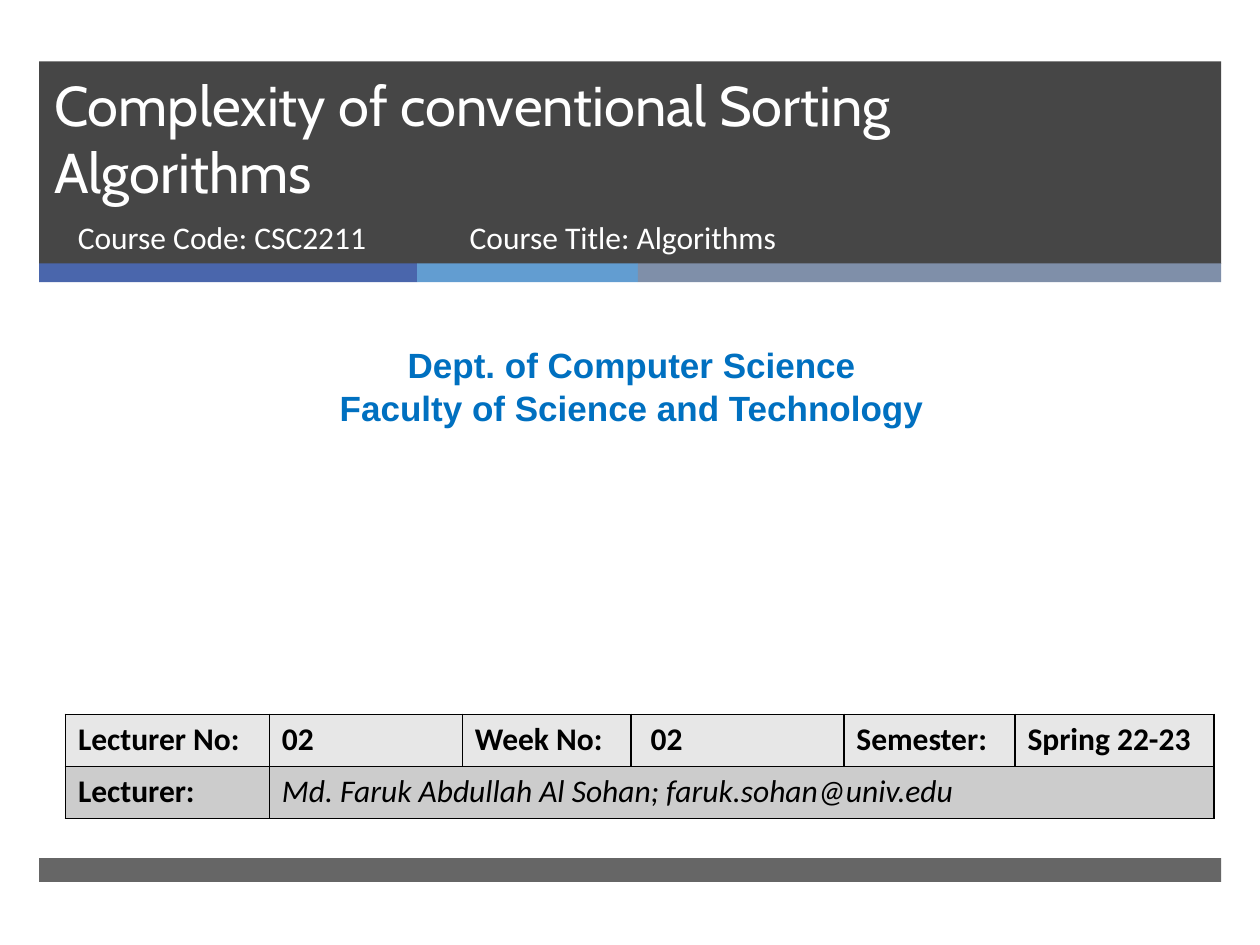
from lxml import etree
from pptx import Presentation
from pptx.dml.color import RGBColor
from pptx.enum.shapes import MSO_SHAPE
from pptx.enum.text import MSO_ANCHOR, MSO_AUTO_SIZE, PP_ALIGN
from pptx.oxml.ns import qn
from pptx.util import Cm, Pt

RECT = MSO_SHAPE.RECTANGLE
LEFT, MID = PP_ALIGN.LEFT, PP_ALIGN.CENTER
TOP, BASE = MSO_ANCHOR.TOP, MSO_ANCHOR.BOTTOM
FIXED = MSO_AUTO_SIZE.NONE

WHITE = RGBColor(0xFF, 0xFF, 0xFF)
BLACK = RGBColor(0, 0, 0)
DARK = RGBColor(0x26, 0x26, 0x26)
BLUE = RGBColor(0x4A, 0x66, 0xAC)
SKY = RGBColor(0x62, 0x9D, 0xD1)
SLATE = RGBColor(0x7F, 0x8F, 0xA9)
DEPT = RGBColor(0x00, 0x70, 0xC0)
LIGHT = RGBColor(0xE7, 0xE7, 0xE7)
GREY = RGBColor(0xCC, 0xCC, 0xCC)


class Deck:
    font = "Calibri"
    size = 18

    def __init__(self, wide, high):
        self.prs = Presentation()
        self.prs.slide_width, self.prs.slide_height = Cm(wide), Cm(high)
        self.slide = self.prs.slides.add_slide(self.prs.slide_layouts[5])
        self.shapes = self.slide.shapes

    def run(self, para, text, color, font=None, size=None, bold=False, slant=False):
        run = para.add_run()
        run.text = text
        run.font.name = font or self.font
        run.font.size = Pt(size or self.size)
        run.font.color.rgb = color
        run.font.bold, run.font.italic = bold, slant

    def fill(self, frame, lines, color, align=LEFT, anchor=TOP, **style):
        frame.word_wrap = True
        frame.auto_size = FIXED
        frame.vertical_anchor = anchor
        for i, line in enumerate(lines):
            para = frame.add_paragraph() if i else frame.paragraphs[0]
            para.alignment = align
            self.run(para, line, color, **style)

    def bar(self, x, y, w, h, color, alpha=None):
        bar = self.shapes.add_shape(RECT, Cm(x), Cm(y), Cm(w), Cm(h))
        bar.shadow.inherit = False
        bar.fill.solid()
        bar.fill.fore_color.rgb = color
        bar.line.fill.background()
        if alpha:
            tone = bar.element.spPr.find(qn("a:solidFill"))[0]
            etree.SubElement(tone, qn("a:alpha"), val=str(alpha * 1000))

    def title(self, x, y, w, h, text):
        title = self.shapes.title
        self.shapes.element.append(title.element)
        title.left, title.top, title.width, title.height = Cm(x), Cm(y), Cm(w), Cm(h)
        self.fill(title.text_frame, [text], WHITE, anchor=BASE, font="Cabin", size=32)

    def text(self, x, y, w, h, lines, color, **style):
        box = self.shapes.add_textbox(Cm(x), Cm(y), Cm(w), Cm(h))
        self.fill(box.text_frame, lines, color, **style)

    def edge(self, cell):
        props = cell._tc.get_or_add_tcPr()
        for i, side in enumerate(("lnL", "lnR", "lnT", "lnB")):
            line = etree.Element(qn("a:" + side), w=str(Pt(1)))
            paint = etree.SubElement(line, qn("a:solidFill"))
            etree.SubElement(paint, qn("a:srgbClr"), val=str(BLACK))
            props.insert(i, line)

    def table(self, x, y, cols, high, rows, fills):
        grid = self.shapes.add_table(
            len(rows), len(cols), Cm(x), Cm(y), Cm(sum(cols)), Cm(high * len(rows))
        ).table
        for col, w in zip(grid.columns, cols):
            col.width = Cm(w)
        for r, (row, color) in enumerate(zip(rows, fills)):
            grid.rows[r].height = Cm(high)
            for c in range(len(cols)):
                cell = grid.cell(r, c)
                cell.fill.solid()
                cell.fill.fore_color.rgb = color
                self.edge(cell)
            if len(row) < len(cols):
                grid.cell(r, len(row) - 1).merge(grid.cell(r, len(cols) - 1))
            for c, (text, slant) in enumerate(row):
                para = grid.cell(r, c).text_frame.paragraphs[0]
                self.run(para, text, BLACK, bold=not slant, slant=slant)


def main():
    deck = Deck(25.4, 19.05)
    left, wide = 0.79, 23.83
    deck.bar(left, 1.24, wide, 4.08, DARK, 85)
    x = left
    for w, color in ((7.62, BLUE), (4.45, SKY), (11.76, SLATE)):
        deck.bar(x, 5.31, w, 0.38, color)
        x += w
    deck.bar(left, 17.3, wide, 0.48, DARK, 70)

    deck.title(0.84, 1.24, 21.69, 3.02, "Complexity of conventional Sorting Algorithms")
    deck.text(1.32, 4.27, 7.75, 1.35, ["Course Code: CSC2211"], WHITE)
    deck.text(
        0.2, 6.81, 25.07, 1.96,
        ["Dept. of Computer Science", "Faculty of Science and Technology"],
        DEPT, align=MID, font="Arial", size=20, bold=True,
    )
    heads = ("Lecturer No:", "02", "Week No:", " 02", "Semester:", "Spring 22-23")
    rows = (
        [(head, False) for head in heads],
        [("Lecturer:", False), ("Md. Faruk Abdullah Al Sohan; faruk.sohan@univ.edu", True)],
    )
    deck.table(1.32, 14.4, (4.11, 3.89, 3.4, 4.29, 3.45, 4.01), 1.05, rows, (LIGHT, GREY))
    deck.text(9.22, 4.27, 11.56, 1.35, ["Course Title: Algorithms"], WHITE)
    deck.prs.save("out.pptx")


if __name__ == "__main__":
    main()
